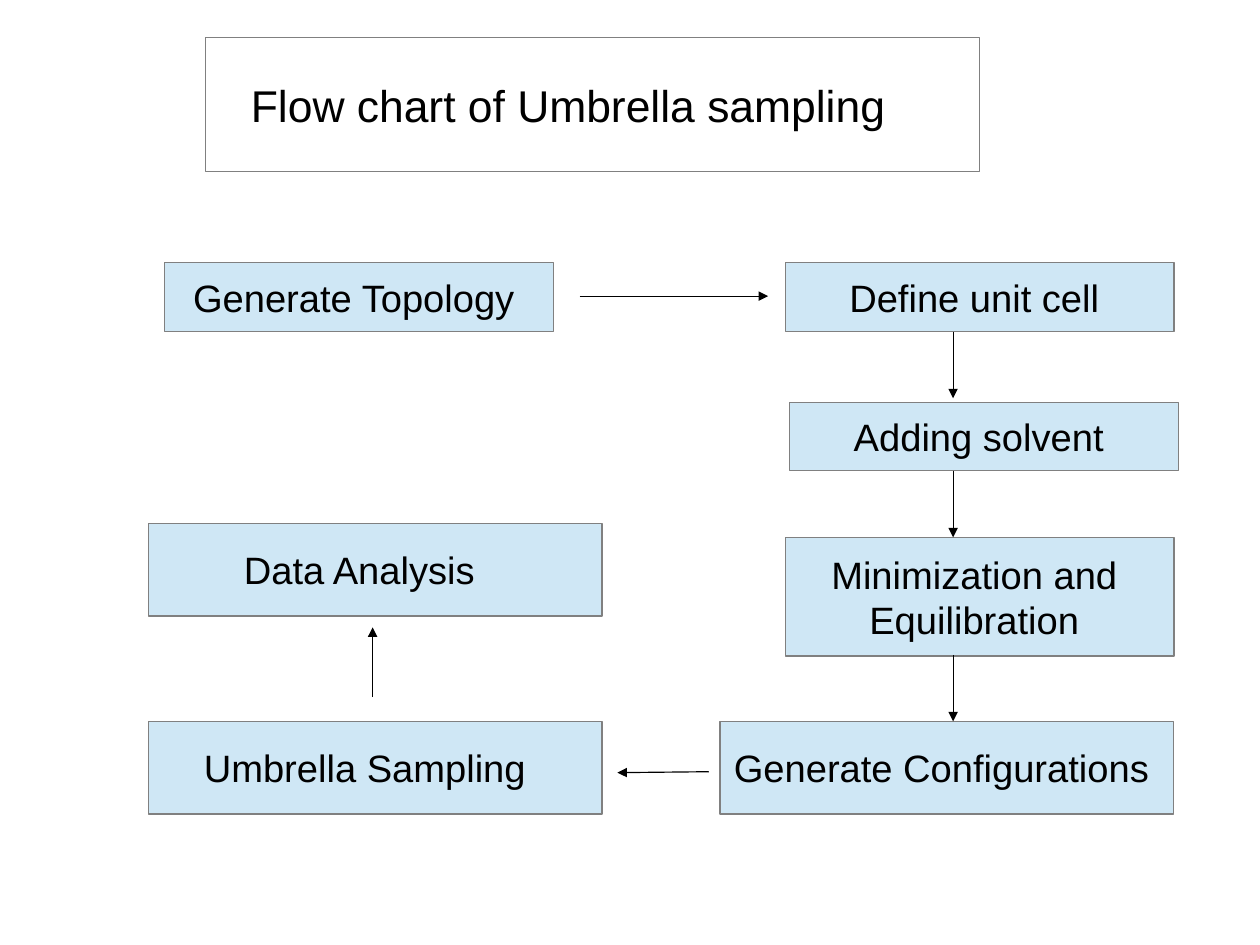
from dataclasses import dataclass

from lxml.etree import SubElement
from pptx import Presentation
from pptx.dml.color import RGBColor
from pptx.enum.shapes import MSO_CONNECTOR, MSO_SHAPE
from pptx.enum.text import MSO_ANCHOR, PP_ALIGN
from pptx.oxml.ns import qn
from pptx.slide import Slide
from pptx.util import Cm, Pt

BLACK = RGBColor(0x00, 0x00, 0x00)
WHITE = RGBColor(0xFF, 0xFF, 0xFF)
GREY = RGBColor(0x80, 0x80, 0x80)
PALE_BLUE = RGBColor(0xCF, 0xE7, 0xF5)

FONT = "Arial"
LINE_WIDTH = Pt(0.75)
SIDE_INSET, EDGE_INSET = 0.25, 0.13

# Lengths in centimetres
LEFT_COLUMN, RIGHT_COLUMN = 3.3, 17.45
NARROW, WIDE = 8.64, 10.08
LOW, TALL = 1.52, 2.06
TOP_ROW, BOTTOM_ROW = 5.84, 16.03
DOWN_X, DOWN_LENGTH = 21.18, 1.48


@dataclass(frozen=True)
class Box:
    lines: tuple[str, ...]
    left: float
    top: float
    width: float
    height: float
    right_inset: float = 0.49
    size: int = 24
    fill: RGBColor = PALE_BLUE


@dataclass(frozen=True)
class Arrow:
    start_x: float
    start_y: float
    end_x: float
    end_y: float


TITLE = Box(("Flow chart of Umbrella sampling",), 4.57, 0.84, 17.2, 2.97,
            right_inset=1.35, size=28, fill=WHITE)

STEPS = (
    Box(("Generate Topology",), 3.66, TOP_ROW, NARROW, LOW),
    Box(("Define unit cell",), RIGHT_COLUMN, TOP_ROW, NARROW, LOW),
    Box(("Adding solvent",), 17.55, 8.94, NARROW, LOW),
    Box(("Minimization and", "Equilibration"), RIGHT_COLUMN, 11.94, NARROW, 2.64),
    Box(("Generate Configurations",), 16, BOTTOM_ROW, WIDE, TALL),
    Box(("Umbrella Sampling",), LEFT_COLUMN, BOTTOM_ROW, WIDE, TALL, right_inset=0.72),
    Box(("Data Analysis",), LEFT_COLUMN, 11.63, WIDE, TALL, right_inset=0.96),
)

ARROWS = (
    Arrow(12.88, 6.58, 17.07, 6.58),
    *(Arrow(DOWN_X, y, DOWN_X, y + DOWN_LENGTH) for y in (7.37, 10.46, 14.55)),
    Arrow(15.75, 17.15, 13.72, 17.17),
    Arrow(8.28, 15.49, 8.28, 13.94),
)


def draw_box(slide: Slide, box: Box) -> None:
    shape = slide.shapes.add_shape(
        MSO_SHAPE.RECTANGLE, Cm(box.left), Cm(box.top), Cm(box.width), Cm(box.height))
    shape.shadow.inherit = False
    shape.fill.solid()
    shape.fill.fore_color.rgb = box.fill
    shape.line.color.rgb = GREY
    shape.line.width = LINE_WIDTH

    frame = shape.text_frame
    frame.word_wrap = False
    frame.vertical_anchor = MSO_ANCHOR.MIDDLE
    frame.margin_left, frame.margin_right = Cm(SIDE_INSET), Cm(box.right_inset)
    frame.margin_top = frame.margin_bottom = Cm(EDGE_INSET)
    for index, line in enumerate(box.lines):
        paragraph = frame.add_paragraph() if index else frame.paragraphs[0]
        paragraph.alignment = PP_ALIGN.CENTER
        run = paragraph.add_run()
        run.text = line
        run.font.name = FONT
        run.font.size = Pt(box.size)
        run.font.color.rgb = BLACK


def draw_arrow(slide: Slide, arrow: Arrow) -> None:
    connector = slide.shapes.add_connector(
        MSO_CONNECTOR.STRAIGHT, Cm(arrow.start_x), Cm(arrow.start_y),
        Cm(arrow.end_x), Cm(arrow.end_y))
    connector.line.color.rgb = BLACK
    connector.line.width = LINE_WIDTH
    properties = connector.element.spPr
    SubElement(properties.find(qn("a:ln")), qn("a:tailEnd"), type="triangle")
    SubElement(properties, qn("a:effectLst"))


def main() -> None:
    deck = Presentation()
    deck.slide_width, deck.slide_height = Cm(28), Cm(21)
    slide = deck.slides.add_slide(deck.slide_layouts[6])
    for box in (TITLE, *STEPS):
        draw_box(slide, box)
    for arrow in ARROWS:
        draw_arrow(slide, arrow)
    deck.save("out.pptx")


if __name__ == "__main__":
    main()
